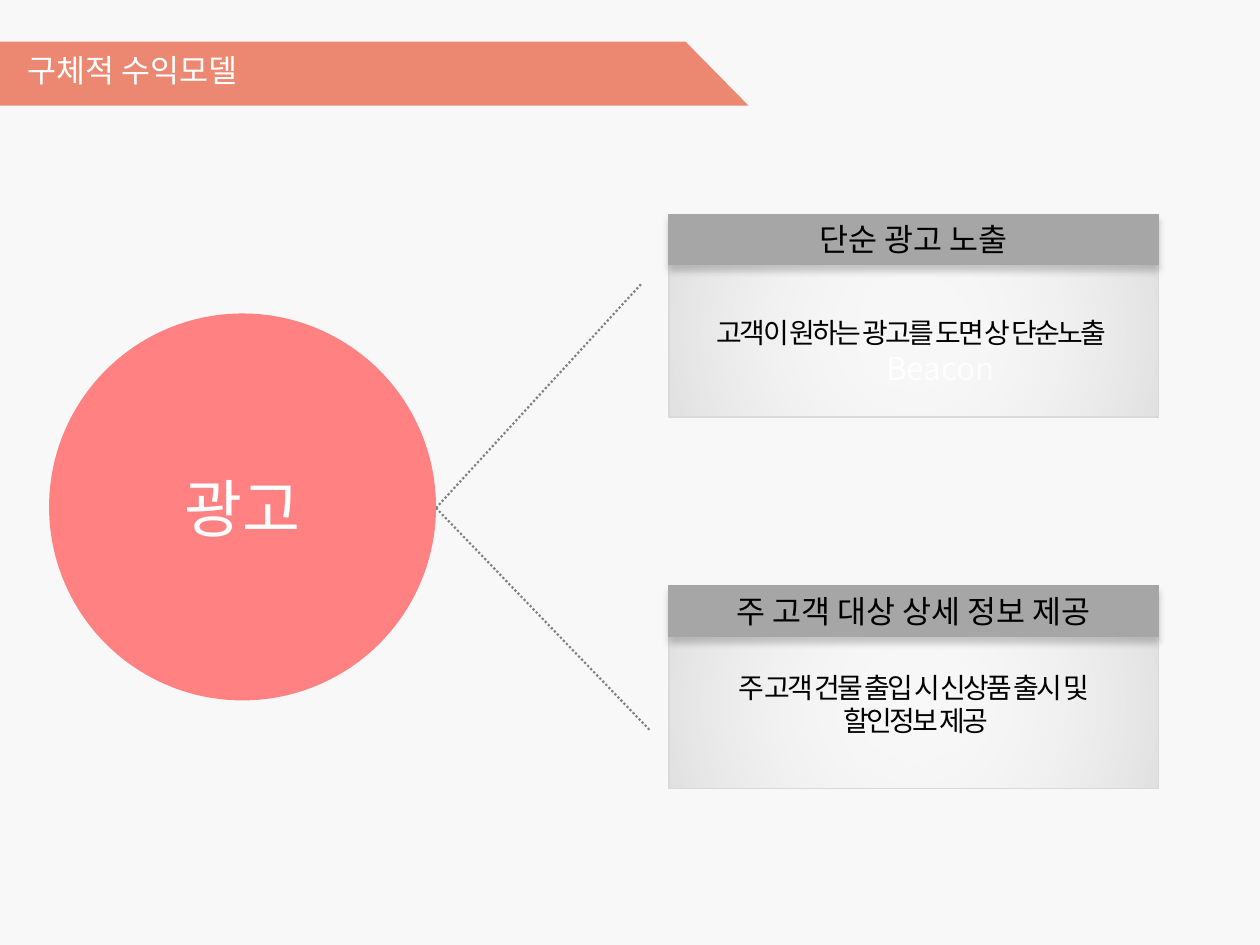
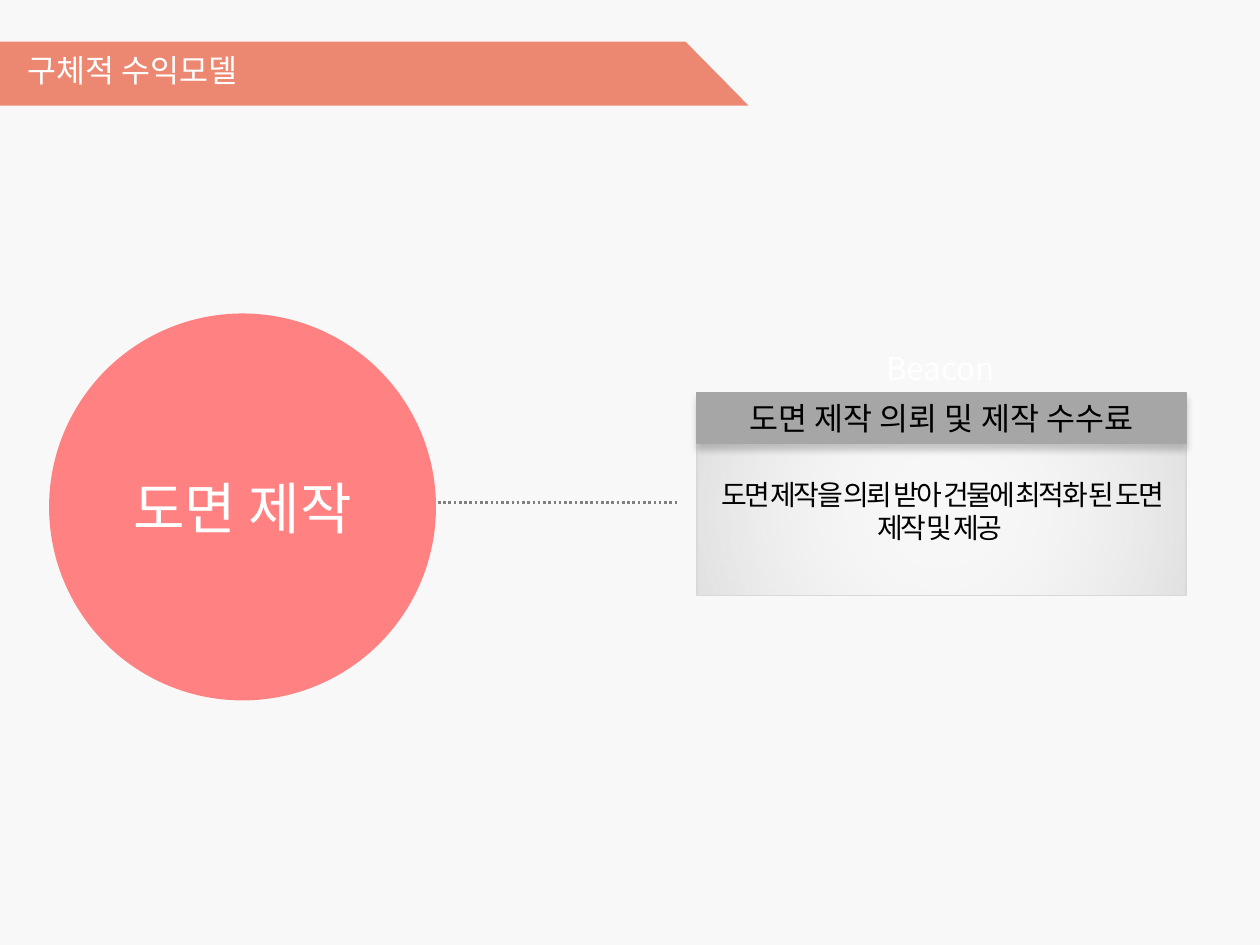
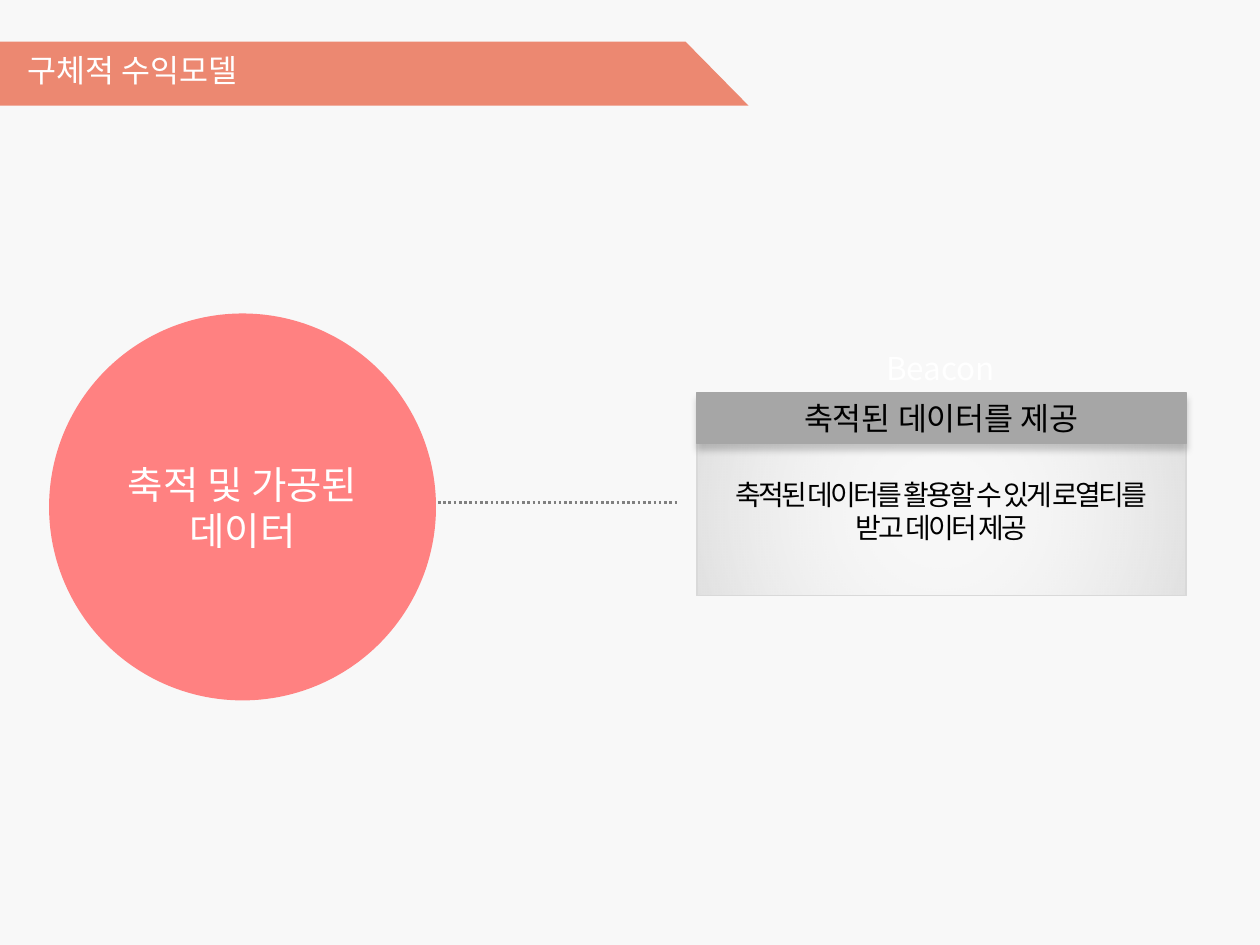
from lxml import etree
from pptx import Presentation
from pptx.dml.color import RGBColor
from pptx.enum.dml import MSO_LINE
from pptx.enum.shapes import MSO_CONNECTOR as Conn, MSO_SHAPE as Kind
from pptx.enum.text import MSO_ANCHOR as Anchor, MSO_AUTO_SIZE as Fit, PP_ALIGN as Align
from pptx.oxml import parse_xml
from pptx.oxml.ns import nsdecls, qn
from pptx.util import Cm, Pt

TITLE = "구체적 수익모델"
LABEL = "Beacon"
FONT = "Noto Sans CJK KR"

# Lengths are centimetres; a card is (left, top, heading, body).
SLIDES = [
    dict(
        topic="광고", size=36, weight=1.25,
        links=[(8.79, 10.24, 12.93, 5.72), (8.79, 10.24, 13.11, 14.73)],
        cards=[
            (13.49, 4.32, "단순 광고 노출", "고객이 원하는 광고를 도면 상 단순노출 "),
            (13.49, 11.81, "주 고객 대상 상세 정보 제공",
             "주 고객 건물 출입 시 신상품 출시 및\n 할인정보 제공"),
        ],
    ),
    dict(
        topic="도면 제작", size=32, weight=1.5,
        links=[(8.51, 10.13, 13.69, 10.13)],
        cards=[(14.05, 7.92, "도면 제작 의뢰 및 제작 수수료",
                "도면 제작을 의뢰 받아 건물에 최적화 된 도면 제작 및 제공 ")],
    ),
    dict(
        topic="축적 및 가공된\n데이터", size=22, weight=1.5,
        links=[(8.51, 10.13, 13.69, 10.13)],
        cards=[(14.05, 7.92, "축적된 데이터를 제공",
                "축적된 데이터를 활용할 수 있게 로열티를\n받고 데이터 제공")],
    ),
]

PAGE, CORAL, PINK = "F8F8F8", "EC8871", "FF8181"
GREY, EDGE, DOTS = "A6A6A6", "D9D9D9", "808080"
WHITE, BLACK = "FFFFFF", "000000"

BAND = [(0, 2.13), (15.09, 2.13), (13.82, 0.84), (0, 0.84)]
TITLE_BOX = (0.3, 0.91, 13.26, 1.02)
LABEL_BOX = (17.6, 6.91, 2.72, 1.02)
CIRCLE = (0.99, 6.32, 7.8, 7.8)
CARD_W, HEAD_H, BODY_H, BODY_DROP = 9.86, 1.02, 3.43, 0.66

GLOW = f"""<a:gradFill {nsdecls('a')} rotWithShape="1"><a:gsLst>
<a:gs pos="0"><a:srgbClr val="{WHITE}"><a:alpha val="0"/></a:srgbClr></a:gs>
<a:gs pos="100000"><a:srgbClr val="{BLACK}"><a:alpha val="10000"/></a:srgbClr></a:gs>
</a:gsLst><a:path path="circle">
<a:fillToRect l="50000" t="50000" r="50000" b="50000"/></a:path></a:gradFill>"""
SHADE = f"""<a:outerShdw {nsdecls('a')} blurRad="{Pt(4)}" dist="{Pt(3)}" dir="5400000"
algn="t" rotWithShape="0"><a:srgbClr val="{BLACK}"><a:alpha val="20000"/></a:srgbClr>
</a:outerShdw>"""


def rgb(code):
    return RGBColor.from_string(code)


def cms(box):
    return [Cm(n) for n in box]


def write(shape, text, size, color, align=Align.CENTER, space=0, **form):
    """Fill a shape with text; form holds text frame attributes."""
    frame = shape.text_frame
    frame.text = text
    form = dict(word_wrap=True, auto_size=Fit.NONE, vertical_anchor=Anchor.TOP) | form
    for key, val in form.items():
        setattr(frame, key, val)
    for para in frame.paragraphs:
        para.alignment = align
        for run in para.runs:
            font = run.font
            for key, val in dict(size=Pt(size), name=FONT, bold=False).items():
                setattr(font, key, val)
            font.color.rgb = rgb(color)
            props = run._r.get_or_add_rPr()
            etree.SubElement(props, qn("a:ea"), typeface=FONT)
            if space:
                props.set("spc", str(round(space * 100)))


def paint(shape, fill=None, edge=None):
    shape.shadow.inherit = False
    if fill:
        shape.fill.solid()
        shape.fill.fore_color.rgb = rgb(fill)
    else:
        shape.fill.background()
    if edge:
        shape.line.color.rgb = rgb(edge)
        shape.line.width = Pt(0.75)
    else:
        shape.line.fill.background()


def link(slide, ends, weight):
    wire = slide.shapes.add_connector(Conn.STRAIGHT, *cms(ends))
    wire.line.color.rgb = rgb(DOTS)
    wire.line.width = Pt(weight)
    wire.line.dash_style = MSO_LINE.ROUND_DOT
    etree.SubElement(wire.element.spPr, qn("a:effectLst"))


def card(slide, left, top, head, text):
    group = slide.shapes.add_group_shape().shapes
    body = group.add_shape(Kind.RECTANGLE, *cms((left, top + BODY_DROP, CARD_W, BODY_H)))
    paint(body, edge=EDGE)
    props = body.element.spPr
    props.replace(props.find(qn("a:noFill")), parse_xml(GLOW))
    write(body, text, 16, BLACK, space=-1.5, vertical_anchor=Anchor.MIDDLE)

    bar = group.add_shape(Kind.RECTANGLE, *cms((left, top, CARD_W, HEAD_H)))
    paint(bar, GREY, GREY)
    bar.element.spPr.find(qn("a:effectLst")).append(parse_xml(SHADE))
    write(bar, head, 18, BLACK)


def frame(slide):
    """Add the background, label, title band and title every slide has."""
    slide.background.fill.solid()
    slide.background.fill.fore_color.rgb = rgb(PAGE)
    label = slide.shapes.add_textbox(*cms(LABEL_BOX))
    write(label, LABEL, 18, WHITE, word_wrap=False)

    first, *rest = [cms(point) for point in BAND]
    pen = slide.shapes.build_freeform(*first)
    pen.add_line_segments(rest)
    paint(pen.convert_to_shape(), CORAL)

    title = slide.shapes.title
    for key, val in zip(("left", "top", "width", "height"), cms(TITLE_BOX)):
        setattr(title, key, val)
    write(title, TITLE, 18, WHITE, Align.LEFT)
    title.element.getparent().append(title.element)  # in front of the band


def main():
    deck = Presentation()
    deck.slide_width, deck.slide_height = Cm(25.4), Cm(19.05)
    for item in SLIDES:
        slide = deck.slides.add_slide(deck.slide_layouts[5])
        frame(slide)
        for ends in item["links"]:
            link(slide, ends, item["weight"])
        disc = slide.shapes.add_shape(Kind.OVAL, *cms(CIRCLE))
        paint(disc, PINK)
        write(disc, item["topic"], item["size"], WHITE, vertical_anchor=Anchor.MIDDLE)
        for part in item["cards"]:
            card(slide, *part)
    deck.save("out.pptx")


if __name__ == "__main__":
    main()
